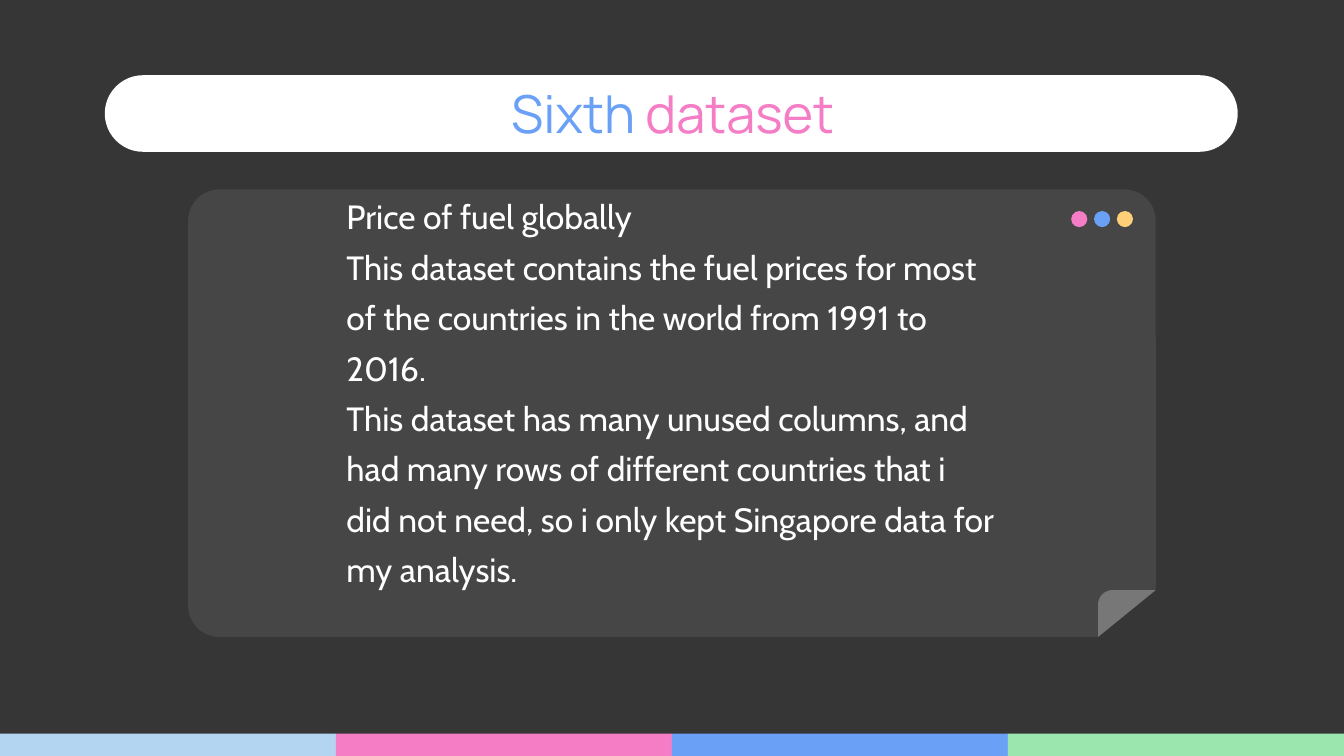
from math import cos, radians, sin

from pptx import Presentation
from pptx.dml.color import RGBColor
from pptx.enum.shapes import MSO_SHAPE
from pptx.enum.text import MSO_ANCHOR, MSO_AUTO_SIZE, PP_ALIGN
from pptx.util import Inches, Pt

DARK = RGBColor(0x36, 0x36, 0x36)
PANEL = RGBColor(0x46, 0x46, 0x46)
FOLD = RGBColor(0x77, 0x77, 0x77)
WHITE = RGBColor(0xFF, 0xFF, 0xFF)
PINK = RGBColor(0xF5, 0x7D, 0xC6)
BLUE = RGBColor(0x6A, 0xA1, 0xF7)
YELLOW = RGBColor(0xFC, 0xCF, 0x78)
SKY = RGBColor(0xB3, 0xD5, 0xF2)
GREEN = RGBColor(0x9A, 0xE6, 0xAE)

DESCRIPTION = [
    "Price of fuel globally",
    "This dataset contains the fuel prices for most of the countries "
    "in the world from 1991 to 2016.",
    "This dataset has many unused columns, and had many rows of different "
    "countries that i did not need, so i only kept Singapore data for my analysis.",
]


class SlideBuilder:
    title_font, title_size = "Manrope", Pt(28)
    body_font, body_size = "Cabin", Pt(18)
    inset = 0.1

    def __init__(self, slide):
        self.slide = slide
        slide.background.fill.solid()
        slide.background.fill.fore_color.rgb = DARK

    def paint(self, shape, color):
        shape.shadow.inherit = False
        shape.fill.solid()
        shape.fill.fore_color.rgb = color
        shape.line.fill.background()
        return shape

    def shape(self, kind, left, top, width, height, color, radius=None):
        shape = self.slide.shapes.add_shape(
            kind, Inches(left), Inches(top), Inches(width), Inches(height))
        if radius is not None:
            shape.adjustments[0] = radius
        return self.paint(shape, color)

    def polygon(self, points, color):
        corners = [(Inches(x), Inches(y)) for x, y in points]
        builder = self.slide.shapes.build_freeform(*corners[0])
        builder.add_line_segments(corners[1:], close=True)
        return self.paint(builder.convert_to_shape(), color)

    def prepare_frame(self, frame, bottom):
        frame.word_wrap = True
        frame.auto_size = MSO_AUTO_SIZE.NONE
        frame.vertical_anchor = MSO_ANCHOR.MIDDLE
        frame.margin_left = frame.margin_right = frame.margin_top = Inches(self.inset)
        frame.margin_bottom = Inches(bottom)

    def title(self, left, top, width, height, parts):
        """Fill the title with (text, color) parts and bring it to the front."""
        title = self.slide.shapes.title
        title.left, title.top = Inches(left), Inches(top)
        title.width, title.height = Inches(width), Inches(height)
        self.prepare_frame(title.text_frame, self.inset)
        paragraph = title.text_frame.paragraphs[0]
        paragraph.alignment = PP_ALIGN.CENTER
        paragraph.font.name, paragraph.font.size = self.title_font, self.title_size
        for text, color in parts:
            run = paragraph.add_run()
            run.text = text
            run.font.color.rgb = color
        self.slide.shapes.element.append(title.element)

    def body(self, left, top, width, height, texts, bottom):
        box = self.slide.shapes.add_textbox(
            Inches(left), Inches(top), Inches(width), Inches(height))
        frame = box.text_frame
        self.prepare_frame(frame, bottom)
        frame.text = "\n".join(texts)
        for paragraph in frame.paragraphs:
            paragraph.line_spacing = 1.25
            paragraph.font.name, paragraph.font.size = self.body_font, self.body_size
            paragraph.font.color.rgb = WHITE


def main():
    presentation = Presentation()
    presentation.slide_width = Inches(10)
    presentation.slide_height = presentation.slide_width * 9 // 16
    title_only = presentation.slide_layouts[5]
    builder = SlideBuilder(presentation.slides.add_slide(title_only))

    for column, color in enumerate([SKY, PINK, BLUE, GREEN]):
        builder.shape(MSO_SHAPE.RECTANGLE, column * 2.5, 5.46, 2.5, 0.17, color)

    builder.shape(MSO_SHAPE.ROUNDED_RECTANGLE, 0.78, 0.56, 8.43, 0.57, WHITE, 0.5)
    builder.shape(MSO_SHAPE.ROUNDED_RECTANGLE, 1.4, 1.41, 7.2, 3.33, PANEL, 0.07)
    for position, color in enumerate([PINK, BLUE, YELLOW]):
        builder.shape(MSO_SHAPE.OVAL, 7.97 + position * 0.17, 1.57, 0.12, 0.12, color)

    # Page corner: the cut-away part, then the fold with one rounded corner
    right, bottom, left, top, radius = 8.6, 4.74, 8.17, 4.39, 0.11
    cutaway = builder.polygon([(left, bottom), (right, top), (right, bottom)], DARK)
    cutaway.line.color.rgb = DARK
    cutaway.line.width = Pt(0.75)
    arc = [(left + radius + radius * cos(radians(angle)),
            top + radius + radius * sin(radians(angle)))
           for angle in range(270, 179, -10)]
    builder.polygon(arc + [(left, bottom), (right, top)], FOLD)

    # The deep bottom inset lifts the text by half a line
    builder.body(2.48, 1.66, 5.04, 2.82, DESCRIPTION, bottom=0.47)
    builder.title(0.79, 0.59, 8.43, 0.5, [("Sixth ", BLUE), ("dataset", PINK)])

    presentation.save("out.pptx")


if __name__ == "__main__":
    main()
